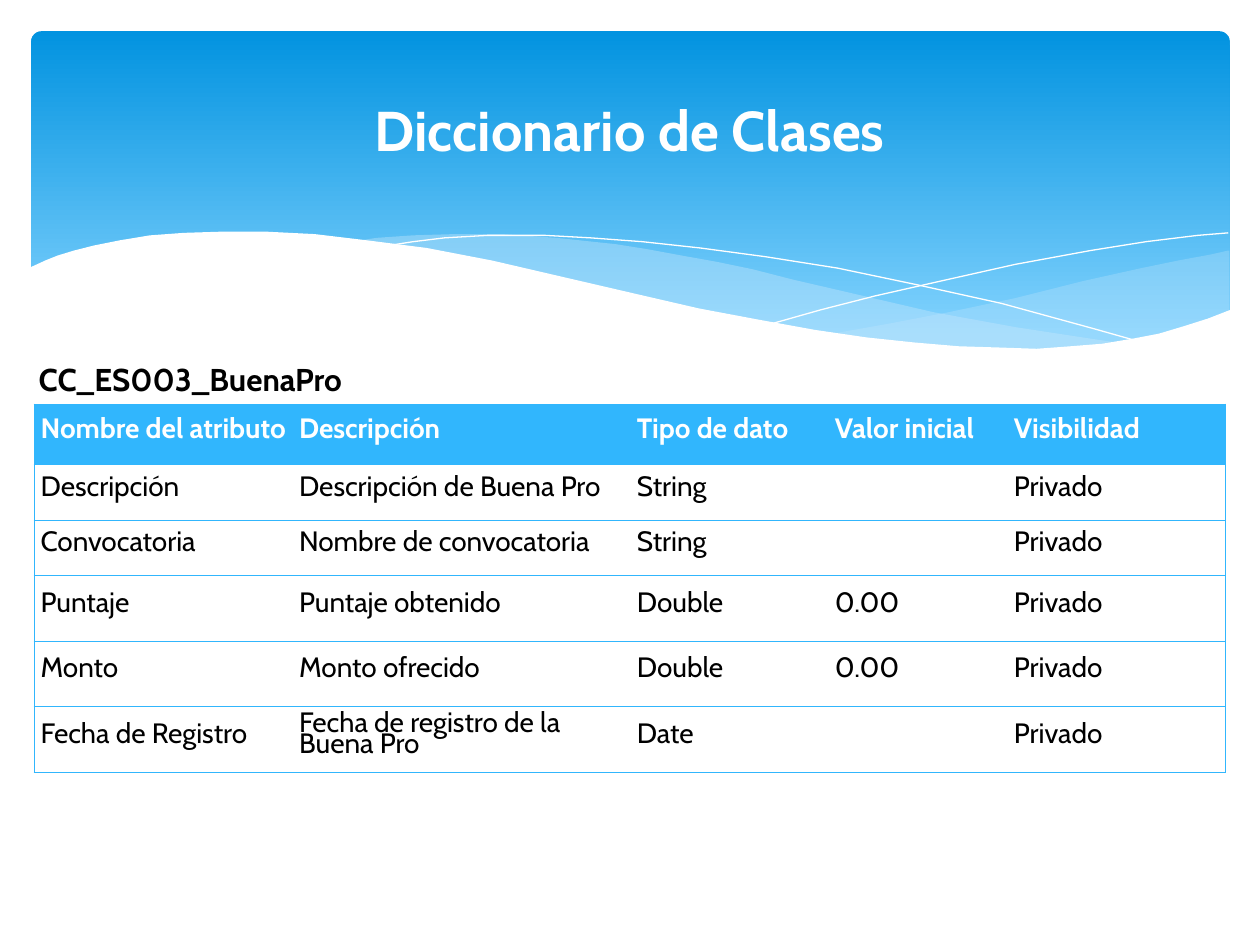
from lxml.etree import SubElement
from pptx import Presentation
from pptx.dml.color import RGBColor
from pptx.enum.shapes import MSO_SHAPE
from pptx.enum.text import MSO_ANCHOR, PP_ALIGN
from pptx.oxml.ns import qn
from pptx.util import Cm, Pt

COLORS = {"deep": "0293E0", "pale": "83D3FE", "mist": "C6E7FC",
          "accent": "31B6FD", "white": "FFFFFF", "black": "000000"}
FONT = "Cabin"

# Wave points are hundredths of an inch from the top left of the banner.
UNIT = Cm(2.54) / 100
RIGHT_WAVE = [
    (950, 174), (937, 177), (910, 182), (881, 188), (836, 198), (780, 212),
    (728, 223), (681, 232), (636, 240), (666, 244), (693, 247), (720, 250),
    (744, 252), (767, 252), (789, 253), (810, 252), (829, 251), (847, 249),
    (864, 247), (880, 244), (896, 240), (910, 236), (924, 232), (938, 227),
    (951, 222), (951, 174)]
MIDDLE_WAVE = [
    (868, 248), (841, 244), (782, 235), (716, 223), (643, 206), (604, 197),
    (573, 189), (544, 183), (516, 178), (489, 173), (464, 169), (417, 164),
    (374, 161), (336, 161), (303, 162), (274, 164), (261, 166), (298, 171),
    (337, 178), (379, 186), (424, 197), (466, 207), (505, 215), (541, 223),
    (576, 230), (609, 236), (640, 241), (670, 245), (697, 249), (723, 251),
    (748, 252), (771, 253), (793, 253), (813, 253), (832, 252), (851, 250)]
FALLING_LINE = [
    (284, 170), (303, 167), (328, 164), (362, 162), (408, 162), (444, 164),
    (485, 167), (531, 172), (583, 179), (640, 188), (702, 201), (770, 216),
    (843, 236), (882, 247)]
RISING_LINE = [
    (588, 232), (627, 221), (670, 210), (723, 198), (781, 185), (841, 174),
    (885, 167), (926, 162), (950, 160)]
WHITE_WAVE = [
    (952, 221), (934, 228), (915, 234), (895, 240), (874, 244), (850, 248),
    (825, 250), (798, 252), (768, 251), (736, 250), (701, 247), (663, 243),
    (622, 237), (578, 229), (530, 220), (478, 208), (422, 195), (366, 182),
    (314, 172), (267, 166), (225, 161), (186, 159), (152, 159), (121, 160),
    (94, 162), (70, 166), (50, 170), (34, 174), (21, 178), (11, 182),
    (-2, 188), (-2, 304), (952, 304)]

COLUMN_WIDTHS = [5.21, 6.81, 3.99, 3.61, 4.39]
ROW_HEIGHTS = [1.22, 1.12, 1.12, 1.32, 1.32, 1.32]
ATTRIBUTES = [
    ["Nombre del atributo", "Descripción", "Tipo de dato", "Valor inicial", "Visibilidad"],
    ["Descripción", "Descripción de Buena Pro", "String", "", "Privado"],
    ["Convocatoria", "Nombre de convocatoria", "String", "", "Privado"],
    ["Puntaje", "Puntaje obtenido", "Double", "0.00", "Privado"],
    ["Monto", "Monto ofrecido", "Double", "0.00", "Privado"],
    ["Fecha de Registro", "Fecha de registro de la Buena Pro", "Date", "", "Privado"],
]


def rgb(name):
    return RGBColor.from_string(COLORS[name])


def set_all(target, values):
    for name, value in values.items():
        setattr(target, name, value)


def write(para, text, size, color, bold=False, **para_format):
    set_all(para, para_format)
    span = para.add_run()
    span.text = text
    set_all(span.font, {"name": FONT, "size": Pt(size), "bold": bold})
    span.font.color.rgb = rgb(color)


def add_wave(page, left, top, points, fill=None, opacity=100):
    """Draw a closed filled wave, or an open white hairline without a fill."""
    builder = page.shapes.build_freeform(*points[0], scale=1 / UNIT * UNIT * UNIT)
    builder.add_line_segments(points[1:], close=fill is not None)
    wave = builder.convert_to_shape(left, top)
    wave.shadow.inherit = False
    if fill is None:
        wave.fill.background()
        wave.line.color.rgb = rgb("white")
        wave.line.width = Pt(0)
        return
    wave.line.fill.background()
    wave.fill.solid()
    wave.fill.fore_color.rgb = rgb(fill)
    if opacity < 100:
        color = wave.fill._xPr.find(qn("a:solidFill"))[0]
        SubElement(color, qn("a:alpha"), val=str(opacity * 1000))


def add_banner(page, left, top, width, height):
    panel = page.shapes.add_shape(MSO_SHAPE.ROUNDED_RECTANGLE, left, top, width, height)
    panel.adjustments[0] = 0.03
    panel.shadow.inherit = False
    panel.line.fill.background()
    panel.fill.gradient()
    panel.fill.gradient_angle = 270
    for stop, position, color in zip(panel.fill.gradient_stops, (0, 0.9), ("deep", "pale")):
        stop.position = position
        stop.color.rgb = rgb(color)
    add_wave(page, left, top, RIGHT_WAVE, "mist", 29)
    add_wave(page, left, top, MIDDLE_WAVE, "mist", 40)
    add_wave(page, left, top, FALLING_LINE)
    add_wave(page, left, top, RISING_LINE)
    add_wave(page, left, top, WHITE_WAVE, "white")


def add_text(page, left, top, width, height, anchor, text, **style):
    frame = page.shapes.add_textbox(left, top, width, height).text_frame
    set_all(frame, {"word_wrap": True, "vertical_anchor": anchor})
    write(frame.paragraphs[0], text, bold=True, **style)


def set_borders(cell, visible_sides):
    properties = cell._tc.get_or_add_tcPr()
    for side in "LRTB":
        line = SubElement(properties, qn(f"a:ln{side}"), w=str(Pt(0.75)))
        if side in visible_sides:
            fill = SubElement(line, qn("a:solidFill"))
            SubElement(fill, qn("a:srgbClr"), val=COLORS["accent"])
        else:
            SubElement(line, qn("a:noFill"))


def add_attribute_table(page, left, top):
    table = page.shapes.add_table(
        len(ROW_HEIGHTS), len(COLUMN_WIDTHS), left, top,
        Cm(sum(COLUMN_WIDTHS)), Cm(sum(ROW_HEIGHTS))).table
    table.horz_banding = False
    for column, width in zip(table.columns, COLUMN_WIDTHS):
        column.width = Cm(width)
    for row_index, (row, height, texts) in enumerate(zip(table.rows, ROW_HEIGHTS, ATTRIBUTES)):
        row.height = Cm(height)
        header = row_index == 0
        for column_index, (cell, text) in enumerate(zip(row.cells, texts)):
            set_all(cell, {"margin_left": Cm(0.13), "margin_right": Cm(0.13),
                           "margin_top": 0, "margin_bottom": 0,
                           "vertical_anchor": MSO_ANCHOR.MIDDLE})
            left_edge = "L" if column_index == 0 else ""
            right_edge = "R" if column_index == len(texts) - 1 else ""
            set_borders(cell, "TB" + left_edge + right_edge)
            if header:
                cell.fill.solid()
                cell.fill.fore_color.rgb = rgb("accent")
            else:
                cell.fill.background()
            if text:
                write(cell.text_frame.paragraphs[0], text, 16,
                      "white" if header else "black", header, line_spacing=Pt(12))


def main():
    deck = Presentation()
    set_all(deck, {"slide_width": Cm(25.4), "slide_height": Cm(19.05)})
    page = deck.slides.add_slide(deck.slide_layouts[6])
    add_banner(page, Cm(0.63), Cm(0.63), Cm(24.16), Cm(6.86))
    add_text(page, Cm(1.27), Cm(0.94), Cm(22.86), Cm(3.48), MSO_ANCHOR.MIDDLE,
             "Diccionario de Clases", size=32, color="white",
             alignment=PP_ALIGN.CENTER, line_spacing=0.9)
    add_text(page, Cm(0.53), Cm(7.14), Cm(11.81), Cm(1.02), MSO_ANCHOR.TOP,
             "CC_ES003_BuenaPro", size=18, color="black")
    add_attribute_table(page, Cm(0.69), Cm(8.15))
    deck.save("out.pptx")


if __name__ == "__main__":
    main()
